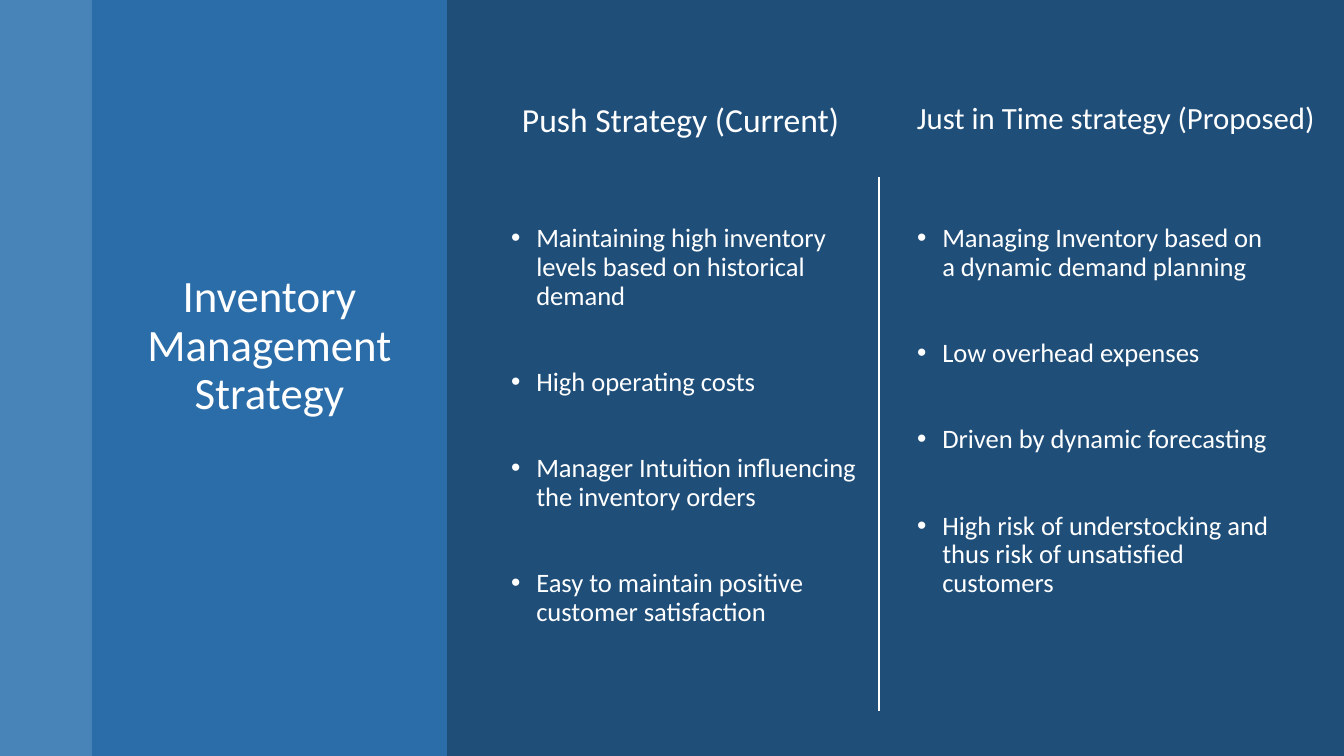
"""Build a slide comparing two inventory management strategies."""
from lxml import etree
from pptx import Presentation, util as u
from pptx.dml.color import RGBColor
from pptx.enum import shapes, text
from pptx.oxml.ns import qn

PX = 12192000 / 1344
FONT = "Calibri"
HUES = {"back": "1F4E79", "strip": "5B9BD5", "panel": "2E75B6", "ink": "FFFFFF"}


def span(*sizes):
    return [u.Emu(round(size * PX)) for size in sizes]


def style(frame, size):
    frame.word_wrap = True
    for para in frame.paragraphs:
        for run in para.runs:
            run.font.name = FONT
            run.font.size = u.Pt(size)
            run.font.color.rgb = RGBColor.from_string(HUES["ink"])


deck = Presentation()
deck.slide_width, deck.slide_height = span(1344, 756)
slide = deck.slides.add_slide(deck.slide_layouts[3])
fill = slide.background.fill
fill.solid()
fill.fore_color.rgb = RGBColor.from_string(HUES["back"])

tree = slide.shapes._spTree
bands = [("strip", 0, 92, 70), ("panel", 92, 355, 80)]
for place, (hue, left, width, alpha) in enumerate(bands, 2):
    band = slide.shapes.add_shape(shapes.MSO_SHAPE.RECTANGLE, *span(left, 0, width, 756))
    band.shadow.inherit = False
    band.line.fill.background()
    band.fill.solid()
    band.fill.fore_color.rgb = RGBColor.from_string(HUES[hue])
    color = band._element.spPr.find(".//" + qn("a:srgbClr"))
    etree.SubElement(color, qn("a:alpha")).set("val", str(alpha * 1000))
    tree.insert(place, band._element)

title = slide.shapes.title
title.left, title.top, title.width, title.height = span(114, 269, 311, 496)
frame = title.text_frame
frame.text = "Inventory Management Strategy"
frame.auto_size = text.MSO_AUTO_SIZE.NONE
frame.vertical_anchor = text.MSO_ANCHOR.TOP
frame.paragraphs[0].alignment = text.PP_ALIGN.CENTER
frame.paragraphs[0].line_spacing = 0.9
style(frame, 32)

lists = [
    (1, 501, 496, [
        "Maintaining high inventory levels based on historical demand",
        "High operating costs",
        "Manager Intuition influencing the inventory orders",
        "Easy to maintain positive customer satisfaction",
    ]),
    (2, 907, 473, [
        "Managing Inventory based on a dynamic demand planning",
        "Low overhead expenses",
        "Driven by dynamic forecasting",
        "High risk of understocking and thus risk of unsatisfied customers",
    ]),
]
for index, left, height, items in lists:
    body = slide.placeholders[index]
    body.left, body.top, body.width, body.height = span(left, 177, 377, height)
    frame = body.text_frame
    frame.text = "\n".join(items)
    frame.auto_size = text.MSO_AUTO_SIZE.NONE
    frame.vertical_anchor = text.MSO_ANCHOR.TOP
    frame.margin_top = span(48)[0]
    for row, para in enumerate(frame.paragraphs):
        para.line_spacing = 0.9
        para.space_before = u.Pt(41 if row else 0)
        props = para._p.get_or_add_pPr()
        props.set("marL", str(u.Inches(0.25)))
        props.set("indent", str(-u.Inches(0.25)))
    style(frame, 19)

rule = slide.shapes.add_connector(shapes.MSO_CONNECTOR.STRAIGHT, *span(879, 177, 879, 711))
rule.line.color.rgb = RGBColor.from_string(HUES["ink"])
rule.line.width = u.Pt(1.75)
etree.SubElement(rule._element.spPr, qn("a:effectLst"))

heads = [
    ("Push Strategy (Current)", 512, 355, 50, 24),
    ("Just in Time strategy (Proposed)", 907, 437, 47, 22),
]
for words, left, width, height, size in heads:
    head = slide.shapes.add_textbox(*span(left, 94, width, height))
    head.text_frame.text = words
    style(head.text_frame, size)

deck.save("out.pptx")
